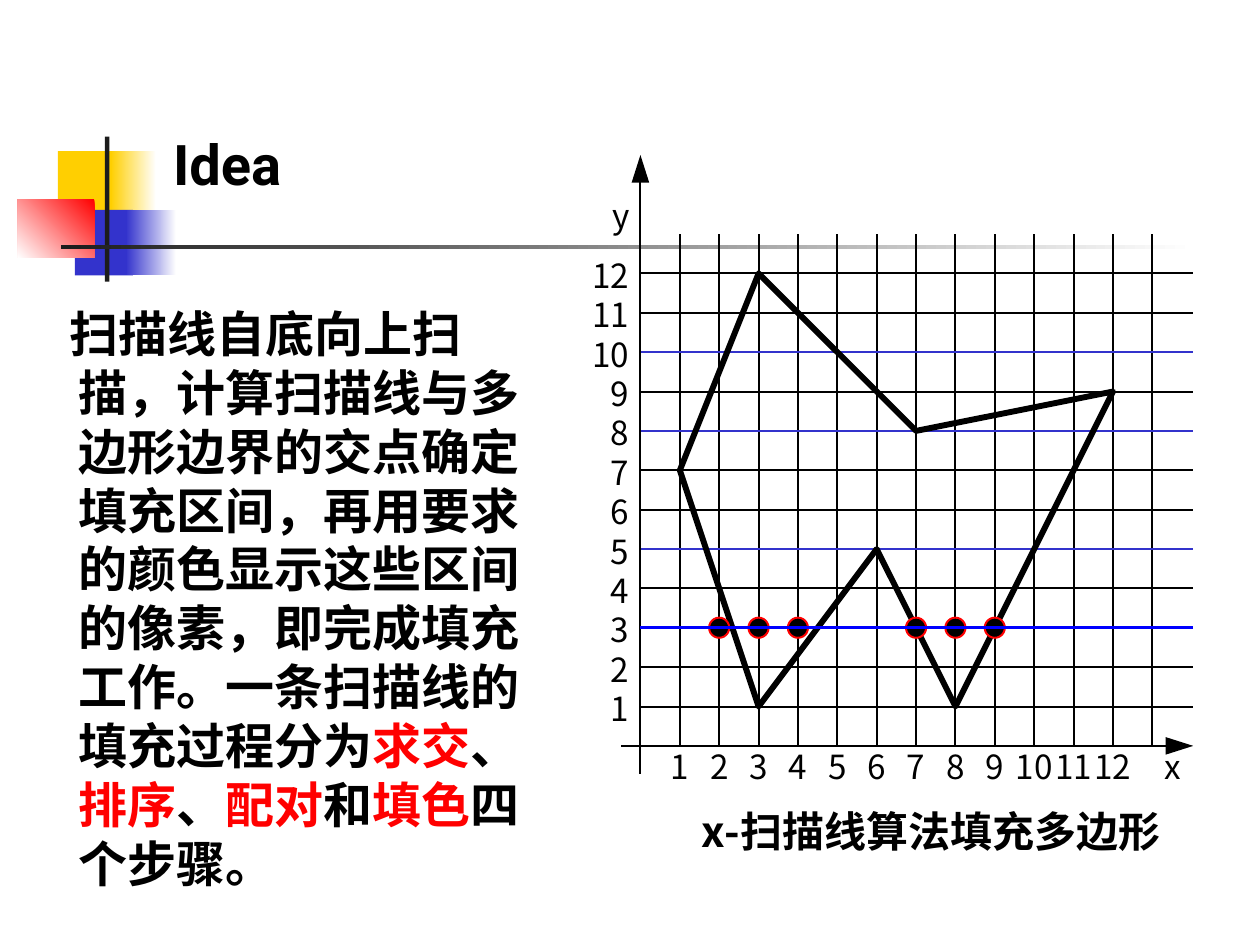
from lxml.etree import SubElement
from pptx import Presentation
from pptx.dml.color import RGBColor
from pptx.enum.shapes import MSO_CONNECTOR as Connector, MSO_SHAPE as Shape
from pptx.enum.text import MSO_ANCHOR as Anchor, PP_ALIGN as Align
from pptx.oxml.ns import qn
from pptx.util import Inches, Pt

BLACK, WHITE, RED, BLUE = "000000", "FFFFFF", "FF0000", "3333CC"
YELLOW, CHARCOAL, SCAN_BLUE = "FFCF01", "1C1C1C", "0000FF"
LATIN, CJK = "Roboto", "Noto Sans CJK SC"


def color(value):
    """Turn a hex string into a colour."""
    return RGBColor.from_string(value)


class Canvas:
    """Draw on one page, in grid units of a tenth of an inch."""

    unit = Inches(0.1)

    def __init__(self, page):
        self.page = page

    def scale(self, *lengths):
        """Turn grid units into slide lengths."""
        return [round(length * self.unit) for length in lengths]

    def paint(self, shape, fill=None, line=None, weight=1.13):
        """Give a shape its fill and outline."""
        shape.shadow.inherit = False
        if fill:
            shape.fill.solid()
            shape.fill.fore_color.rgb = color(fill)
        else:
            shape.fill.background()
        if line:
            shape.line.color.rgb = color(line)
            shape.line.width = Pt(weight)
        else:
            shape.line.fill.background()

    def block(self, area, fill, kind=Shape.RECTANGLE, line=None):
        """Add a preset shape."""
        shape = self.page.shapes.add_shape(kind, *self.scale(*area))
        self.paint(shape, fill, line)
        return shape

    def fade(self, area, start, end, angle=180):
        """Add a rectangle with a clockwise gradient from start to end."""
        shape = self.block(area, start)
        shape.fill.gradient()
        shape.fill.gradient_angle = 360 - angle
        for stop, value in zip(shape.fill.gradient_stops, (start, end)):
            stop.color.rgb = color(value)

    def line(self, start, end, value=BLACK, weight=1.13):
        """Add a straight line."""
        line = self.page.shapes.add_connector(
            Connector.STRAIGHT, *self.scale(*start, *end))
        line.line.color.rgb = color(value)
        line.line.width = Pt(weight)
        SubElement(line._element.spPr, qn("a:effectLst"))

    def polygon(self, points, **style):
        """Add a closed outline through the points."""
        start, *others = [self.scale(*point) for point in points]
        builder = self.page.shapes.build_freeform(*start, scale=1.0)
        builder.add_line_segments(others, close=True)
        self.paint(builder.convert_to_shape(), **style)

    def text(self, area, spans, size, font=CJK, bold=False, align=Align.LEFT,
             anchor=Anchor.TOP, wrap=False, inset=(0, 0)):
        """Add a paragraph made of (text, colour) spans."""
        box = self.page.shapes.add_textbox(*self.scale(*area))
        frame = box.text_frame
        frame.word_wrap, frame.vertical_anchor = wrap, anchor
        across, down = self.scale(*inset)
        frame.margin_left = frame.margin_right = across
        frame.margin_top = frame.margin_bottom = down
        para = frame.paragraphs[0]
        para.alignment = align
        for words, value in spans:
            span = para.add_run()
            span.text = words
            span.font.name, span.font.size, span.font.bold = font, Pt(size), bold
            span.font.color.rgb = color(value)
            SubElement(span.font._element, qn("a:ea"), typeface=font)
        return para


def draw_ornament(canvas):
    """Draw the coloured squares and the title rule."""
    canvas.block((4.6, 12, 4.8, 5.2), YELLOW)
    canvas.fade((8.8, 12, 3.6, 5.2), WHITE, YELLOW)
    canvas.block((5.95, 16.65, 4.6, 5.2), BLUE)
    canvas.fade((10, 16.65, 4, 5.2), WHITE, BLUE)
    canvas.fade((1.4, 15.8, 6.1, 4.65), RED, WHITE, 135)
    canvas.block((8.33, 10.85, 0.35, 11.5), CHARCOAL)
    canvas.fade((4.85, 19.45, 90, 0.35), WHITE, CHARCOAL)


def draw_explanation(canvas):
    """Write the title, the explanation and the caption."""
    canvas.text((12.75, 7.6, 43.1, 8.5), [("Idea", BLACK)], 32, LATIN, True,
                anchor=Anchor.BOTTOM, wrap=True, inset=(1, 0.5))
    para = canvas.text((2.5, 24.1, 40, 45), [
        ("扫描线自底向上扫描，计算扫描线与多边形边界的交点确定填充区间，"
         "再用要求的颜色显示这些区间的像素，即完成填充工作。"
         "一条扫描线的填充过程分为", BLACK),
        ("求交", RED), ("、", BLACK), ("排序", RED), ("、", BLACK),
        ("配对", RED), ("和", BLACK), ("填色", RED), ("四个步骤。", BLACK),
    ], 28, LATIN, True, wrap=True)
    margin, indent = canvas.scale(3.75, -0.7)
    layout = para._p.get_or_add_pPr()
    layout.set("marL", str(margin))
    layout.set("indent", str(indent))
    layout.set("hangingPunct", "0")
    canvas.text((55.7, 63.9, 37.2, 4), [("x-扫描线算法填充多边形", BLACK)],
                24, bold=True)


def draw_plot(canvas):
    """Draw the pixel grid, the polygon and the scan line."""
    left, bottom, right, top = 50.83, 59.2, 94.7, 18.6
    cell = 37.5 / 12
    scan_row, digit, height = 3, 1.5, 3.2

    def at(column, row):
        return left + column * cell, bottom - row * cell

    def label(words, x, y, align=Align.LEFT, width=digit):
        canvas.text((x, y, width, height), [(words, BLACK)], 19, align=align)

    for column in range(1, 14):
        x, _ = at(column, 0)
        canvas.line((x, top), (x, bottom))
    for row in range(1, 13):
        if row != scan_row:
            _, y = at(0, row)
            canvas.line((left, y), (right, y), BLUE if row in (5, 8, 10) else BLACK)
    for mark in ((2, 11), (4, 11), (6, 11), (8, 9)):
        x, y = at(*mark)
        canvas.line((x - 1.25, y), (x + 1.25, y))
    for number in range(1, 13):
        x, y = at(number, number)
        width = digit * len(str(number))
        label(str(number), x - width / 2, bottom, Align.CENTER, width)
        label(str(number), 49.95 - width, y - 1.45, Align.RIGHT, width)

    canvas.line((49.3, bottom), (92.7, bottom))
    canvas.polygon([(92.5, bottom - 0.7), (right, bottom), (92.5, bottom + 0.7)],
                   fill=BLACK)
    canvas.line((left, 61.4), (left, 14.3))
    canvas.polygon([(left - 0.7, 14.5), (left, 12.3), (left + 0.7, 14.5)],
                   fill=BLACK)
    label("x", 92.4, bottom)
    label("y", 48.6, 15.5)

    corners = [(1, 7), (3, 12), (7, 8), (12, 9), (8, 1), (6, 5), (3, 1)]
    canvas.polygon([at(*corner) for corner in corners], line=BLACK, weight=3.37)
    for column in (2, 3, 4, 7, 8, 9):
        x, y = at(column, scan_row)
        canvas.block((x - 0.8, y - 0.8, 1.6, 1.6), BLACK, Shape.OVAL, RED)
    _, y = at(0, scan_row)
    canvas.line((left, y), (right, y), SCAN_BLUE, 1.87)


def main():
    """Build the deck and save it."""
    deck = Presentation()
    deck.slide_width, deck.slide_height = Inches(10), Inches(7.5)
    canvas = Canvas(deck.slides.add_slide(deck.slide_layouts[6]))
    draw_ornament(canvas)
    draw_explanation(canvas)
    draw_plot(canvas)
    deck.save("out.pptx")


if __name__ == "__main__":
    main()
